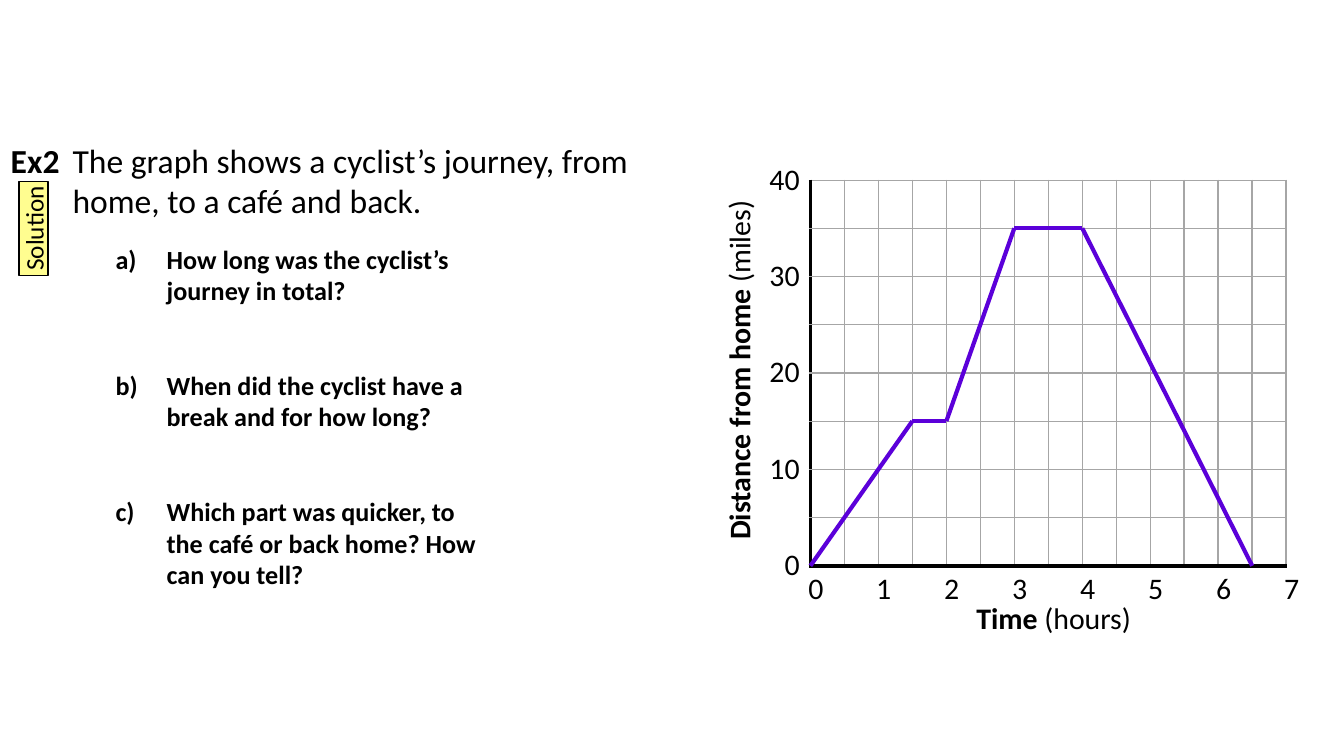
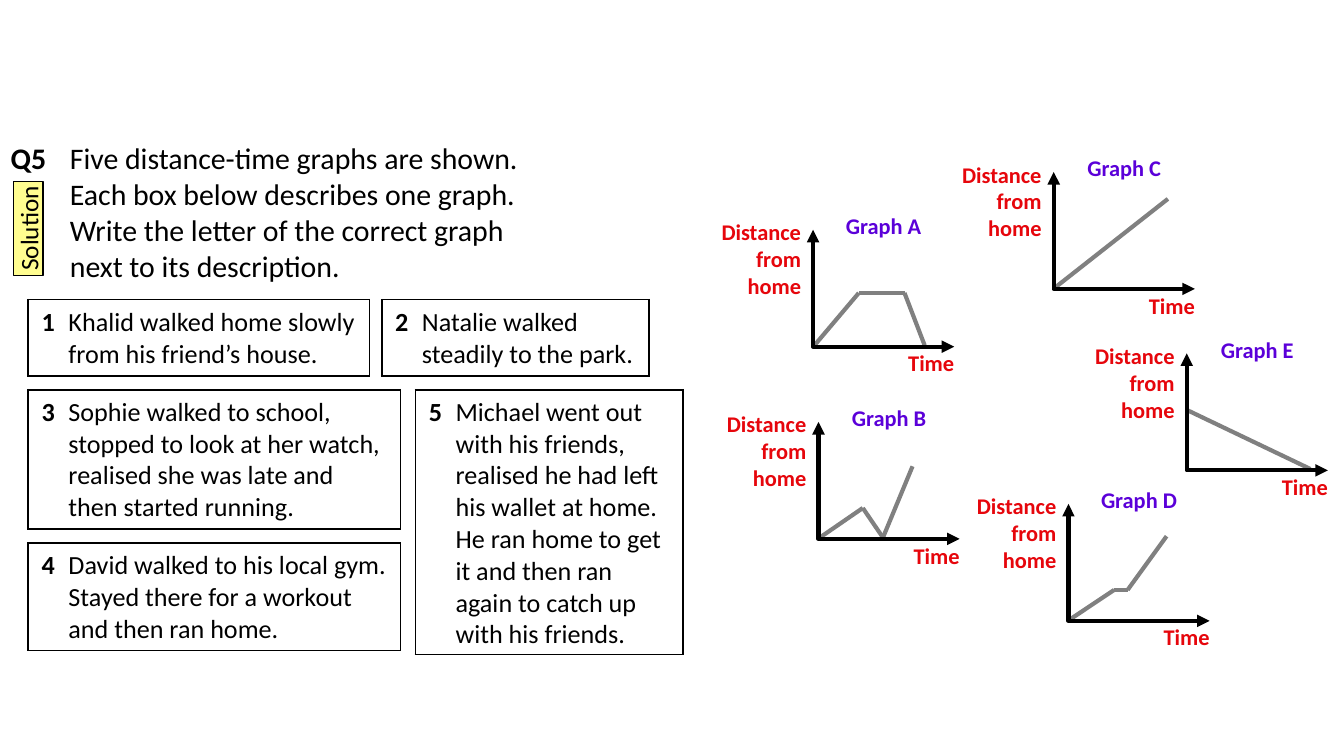
from dataclasses import dataclass
from itertools import pairwise
from typing import Any

from lxml.etree import SubElement
from pptx import Presentation
from pptx.dml.color import RGBColor
from pptx.enum.shapes import MSO_CONNECTOR, MSO_SHAPE
from pptx.enum.text import MSO_ANCHOR, MSO_AUTO_SIZE, PP_ALIGN
from pptx.oxml.ns import qn
from pptx.util import Emu, Inches, Pt

# Theme shared by both slides
COLORS = {
    "ink": "000000",
    "tab": "FFFD90",
    "violet": "5B00D9",
    "red": "E6060C",
    "curve": "808080",
    "grid": "A6A6A6",
}
FONT = "Calibri"
SLIDE_WIDTH, SLIDE_HEIGHT = Inches(10), Inches(5.625)
GRID_COLUMNS = 100  # the layout grid is square: 100 columns, 56.25 rows
LEFT, CENTER, RIGHT = PP_ALIGN.LEFT, PP_ALIGN.CENTER, PP_ALIGN.RIGHT
Point = tuple[float, float]


@dataclass(frozen=True)
class Area:
    """A rectangle in grid columns and rows."""
    left: float
    top: float
    width: float
    height: float

    def emu(self) -> list[Emu]:
        return [cells(n) for n in (self.left, self.top, self.width, self.height)]


@dataclass(frozen=True)
class Span:
    text: str
    bold: bool = False


@dataclass(frozen=True)
class Style:
    size: float
    align: PP_ALIGN = LEFT
    color: str = "ink"


@dataclass(frozen=True)
class Graph:
    name: str
    left: float
    top: float
    curve: tuple[Point, ...]  # columns right of and rows above the origin


@dataclass(frozen=True)
class Story:
    number: str
    text: str
    area: Area


AXIS_TEXT = Style(16, CENTER)
AXIS_NUMBER = Style(16, RIGHT)
GRAPH_NAME = Style(12, CENTER, "violet")
GRAPH_AXIS = Style(12, RIGHT, "red")
NO_MARGINS = {f"margin_{side}": 0 for side in ("left", "top", "right", "bottom")}
LABEL_FRAME = NO_MARGINS | {
    "word_wrap": True,
    "vertical_anchor": MSO_ANCHOR.MIDDLE,
    "auto_size": MSO_AUTO_SIZE.SHAPE_TO_FIT_TEXT,
}
HEADING_FRAME = LABEL_FRAME | {"margin_left": Inches(0.04), "vertical_anchor": MSO_ANCHOR.TOP}

# Slide 1: the cyclist's journey
PLOT = Area(60.3, 13.4, 35.4, 28.7)
HOURS, MILES = 7, 40
HALF_HOURS, FIVE_MILES = HOURS * 2, MILES // 5
JOURNEY = ((0, 0), (1.5, 15), (2, 15), (3, 35), (4, 35), (6.5, 0))
QUESTIONS = (
    "How long was the cyclist’s journey in total?",
    "When did the cyclist have a break and for how long?",
    "Which part was quicker, to the café or back home? How can you tell?",
)

# Slide 2: graphs and the stories they match
AXIS_WIDTH, AXIS_HEIGHT = 10.5, 8.7
GRAPHS = (
    Graph("A", 60.5, 17.1, ((0.1, 0.1), (3.4, 4), (6.8, 4), (8.3, 0.1))),
    Graph("C", 78.4, 12.8, ((0.1, 0.1), (8.5, 6.7))),
    Graph("D", 79.5, 37.5, ((0.1, 0.1), (3.4, 2.3), (4.4, 2.3), (7.3, 6.3))),
    Graph("E", 88.3, 26.3, ((0, 4.5), (9.2, 0.1))),
    Graph("B", 60.9, 31.4, ((0.1, 0.1), (3.3, 2.3), (4.8, 0.1), (7, 5.4))),
)
NUMBER_WIDTH = 2.6
STORIES = (
    Story("1", "Khalid walked home slowly from his friend’s house.", Area(2.1, 22.3, 25.4, 5.7)),
    Story("3", "Sophie walked to school, stopped to look at her watch, realised she was late "
          "and then started running.", Area(2.1, 29, 27.7, 10.3)),
    Story("4", "David walked to his local gym. Stayed there for a workout and then ran home.",
          Area(2.1, 40.4, 27.7, 8)),
    Story("2", "Natalie walked steadily to the park.", Area(28.4, 22.3, 19.9, 5.7)),
    Story("5", "Michael went out with his friends, realised he had left his wallet at home.\n"
          "He ran home to get it and then ran again to catch up with his friends.",
          Area(30.9, 29, 19.9, 19.7)),
)


# Helpers
def cells(count: float) -> Emu:
    return Emu(round(SLIDE_WIDTH * count / GRID_COLUMNS))


def color(name: str) -> RGBColor:
    return RGBColor.from_string(COLORS[name])


def apply(target: Any, formats: dict[str, Any]) -> None:
    for name, value in formats.items():
        setattr(target, name, value)


def write(frame: Any, lines: list[list[Span]], style: Style) -> None:
    for index, spans in enumerate(lines):
        para = frame.add_paragraph() if index else frame.paragraphs[0]
        apply(para, {"alignment": style.align, "space_before": Pt(0)})
        for span in spans:
            for part, text in enumerate(span.text.split("\n")):
                if part:
                    para.add_line_break()
                run = para.add_run()
                run.text = text
                apply(run.font, {"name": FONT, "size": Pt(style.size), "bold": span.bold})
                run.font.color.rgb = color(style.color)


def place(shape: Any, area: Area) -> None:
    apply(shape, dict(zip(("left", "top", "width", "height"), area.emu())))


def add_label(shapes: Any, area: Area, lines: list[list[Span]], style: Style,
              frame: dict[str, Any] = LABEL_FRAME, rotation: float = 0) -> None:
    box = shapes.add_textbox(*area.emu())
    box.rotation = rotation
    apply(box.text_frame, frame)
    write(box.text_frame, lines, style)


def set_line(line: Any, name: str, width: float) -> None:
    line.color.rgb = color(name)
    line.width = Pt(width)


def add_curve(shapes: Any, points: list[Point], name: str) -> None:
    for start, end in pairwise(points):
        ends = [cells(n) for n in (*start, *end)]
        segment = shapes.add_connector(MSO_CONNECTOR.STRAIGHT, *ends)
        set_line(segment.line, name, 2.25)
        SubElement(segment._element.spPr, qn("a:effectLst"))


def finish_cell(cell: Any, borders: dict[str, tuple[str, float]]) -> None:
    properties = cell._tc.get_or_add_tcPr()
    for side in "LRTB":
        border = SubElement(properties, qn(f"a:ln{side}"))
        if side in borders:
            name, width = borders[side]
            border.set("w", str(Pt(width)))
            SubElement(SubElement(border, qn("a:solidFill")), qn("a:srgbClr"), val=COLORS[name])
        else:
            SubElement(border, qn("a:noFill"))
    cell.fill.background()


def add_plain_table(page: Any, rows: int, widths: list[float], area: Area) -> Any:
    table = page.shapes.add_table(rows, len(widths), *area.emu()).table
    apply(table, {"first_row": False, "horz_banding": False})
    for column, width in zip(table.columns, widths):
        column.width = cells(width)
    return table


def add_heading(page: Any, tag: str, lines: list[str], area: Area, size: float,
                tab_left: float) -> None:
    """Question tag, question text and the yellow tab on the left edge."""
    title = page.shapes.title
    place(title, area)
    apply(title.text_frame, HEADING_FRAME)
    write(title.text_frame, [[Span(line)] for line in lines], Style(size))
    add_label(page.shapes, Area(0.4, 10.4, 5.6, size / 6), [[Span(tag, True)]], Style(size),
              HEADING_FRAME)
    tab = page.shapes.add_shape(MSO_SHAPE.RECTANGLE, *Area(tab_left, 15.9, 7, 2.2).emu())
    tab.rotation = 270
    tab.shadow.inherit = False
    tab.fill.solid()
    tab.fill.fore_color.rgb = color("tab")
    set_line(tab.line, "ink", 1)
    apply(tab.text_frame, NO_MARGINS | {"vertical_anchor": MSO_ANCHOR.MIDDLE})
    write(tab.text_frame, [[Span("Solution")]], Style(13.5, CENTER))


def plot_point(hour: float, mile: float) -> Point:
    return (PLOT.left + PLOT.width * hour / HOURS,
            PLOT.top + PLOT.height * (1 - mile / MILES))


# Slide parts
def add_journey_plot(page: Any) -> None:
    table = add_plain_table(page, FIVE_MILES, [PLOT.width / HALF_HOURS] * HALF_HOURS, PLOT)
    grid, axis = ("grid", 0.75), ("ink", 2.25)
    for row in range(FIVE_MILES):
        for column in range(HALF_HOURS):
            cell = table.cell(row, column)
            apply(cell, NO_MARGINS)
            finish_cell(cell, {"L": grid if column else axis, "R": grid, "T": grid,
                               "B": axis if row == FIVE_MILES - 1 else grid})
    add_label(page.shapes, Area(39.5, 26.2, 30.9, 2.7),
              [[Span("Distance from home ", True), Span("(miles)")]], AXIS_TEXT, rotation=270)
    add_label(page.shapes, Area(71.5, 44.6, 13.8, 2.7),
              [[Span("Time ", True), Span("(hours)")]], AXIS_TEXT)
    for hour in range(HOURS + 1):
        x, y = plot_point(hour, 0)
        add_label(page.shapes, Area(x - 1.5, y + 0.3, 3.8, 2.7), [[Span(str(hour))]], AXIS_TEXT)
    for mile in range(0, MILES + 1, 10):
        x, y = plot_point(0, mile)
        add_label(page.shapes, Area(x - 5.2, y - 1.5, 4.4, 2.7), [[Span(str(mile))]], AXIS_NUMBER)
    add_curve(page.shapes, [plot_point(*stop) for stop in JOURNEY], "violet")


def add_questions(page: Any) -> None:
    body = page.placeholders[1]
    place(body, Area(7.6, 17.6, 29.7, 31.6))
    body.text_frame.auto_size = MSO_AUTO_SIZE.SHAPE_TO_FIT_TEXT
    write(body.text_frame, [[Span(question, True)] for question in QUESTIONS], Style(14))
    for index, para in enumerate(body.text_frame.paragraphs):
        para.space_before = Pt(34 if index else 0)
        properties = para._p.get_or_add_pPr()
        apply_indent = {"marL": Inches(0.38), "indent": -Inches(0.38)}
        for name, value in apply_indent.items():
            properties.set(name, str(int(value)))
        SubElement(properties, qn("a:buFont"), typeface=FONT)
        SubElement(properties, qn("a:buAutoNum"), type="alphaLcParenR")


def add_graph(page: Any, graph: Graph) -> None:
    shapes = page.shapes.add_group_shape().shapes
    x, y = graph.left, graph.top
    bottom = y + AXIS_HEIGHT
    add_curve(shapes, [(x + right, bottom - up) for right, up in graph.curve], "curve")
    builder = shapes.build_freeform(cells(x), cells(y))
    corners = ((x, bottom), (x + AXIS_WIDTH, bottom))
    builder.add_line_segments([(cells(a), cells(b)) for a, b in corners], close=False)
    axes = builder.convert_to_shape()
    axes.fill.background()
    axes.shadow.inherit = False
    set_line(axes.line, "ink", 2.25)
    for end in ("headEnd", "tailEnd"):
        SubElement(axes.line._get_or_add_ln(), qn(f"a:{end}"), type="triangle")
    labels = (
        (Area(x - 8.8, y - 0.6, 7.9, 5.5), ("Distance", "from", "home"), GRAPH_AXIS),
        (Area(x + 2.6, y + 9, 7.9, 1.8), ("Time",), GRAPH_AXIS),
        (Area(x + 1.3, y - 1.2, 7.9, 1.8), (f"Graph {graph.name}",), GRAPH_NAME),
    )
    for area, lines, style in labels:
        add_label(shapes, area, [[Span(line, True)] for line in lines], style)


def add_story(page: Any, story: Story) -> None:
    widths = [NUMBER_WIDTH, story.area.width - NUMBER_WIDTH]
    table = add_plain_table(page, 1, widths, story.area)
    number, text = table.cell(0, 0), table.cell(0, 1)
    text.margin_left = Inches(0.04)
    write(number.text_frame, [[Span(story.number, True)]], Style(14, CENTER))
    write(text.text_frame, [[Span(story.text)]], Style(14))
    for cell, sides in ((number, "LTB"), (text, "RTB")):
        finish_cell(cell, {side: ("ink", 1) for side in sides})


def main() -> None:
    deck = Presentation()
    apply(deck, {"slide_width": SLIDE_WIDTH, "slide_height": SLIDE_HEIGHT})

    # Slide 1
    page = deck.slides.add_slide(deck.slide_layouts[1])
    add_journey_plot(page)
    add_heading(page, "Ex2", ["The graph shows a cyclist’s journey, from home, to a café and back."],
                Area(5, 10.4, 43.6, 6.1), 18, -1)
    add_questions(page)

    # Slide 2
    page = deck.slides.add_slide(deck.slide_layouts[5])
    add_heading(page, "Q5", ["Five distance-time graphs are shown.",
                             "Each box below describes one graph.",
                             "Write the letter of the correct graph next to its description."],
                Area(4.8, 10.4, 36.4, 10.8), 16, -1.4)
    for graph in GRAPHS:
        add_graph(page, graph)
    for story in STORIES:
        add_story(page, story)

    deck.save("out.pptx")


if __name__ == "__main__":
    main()
